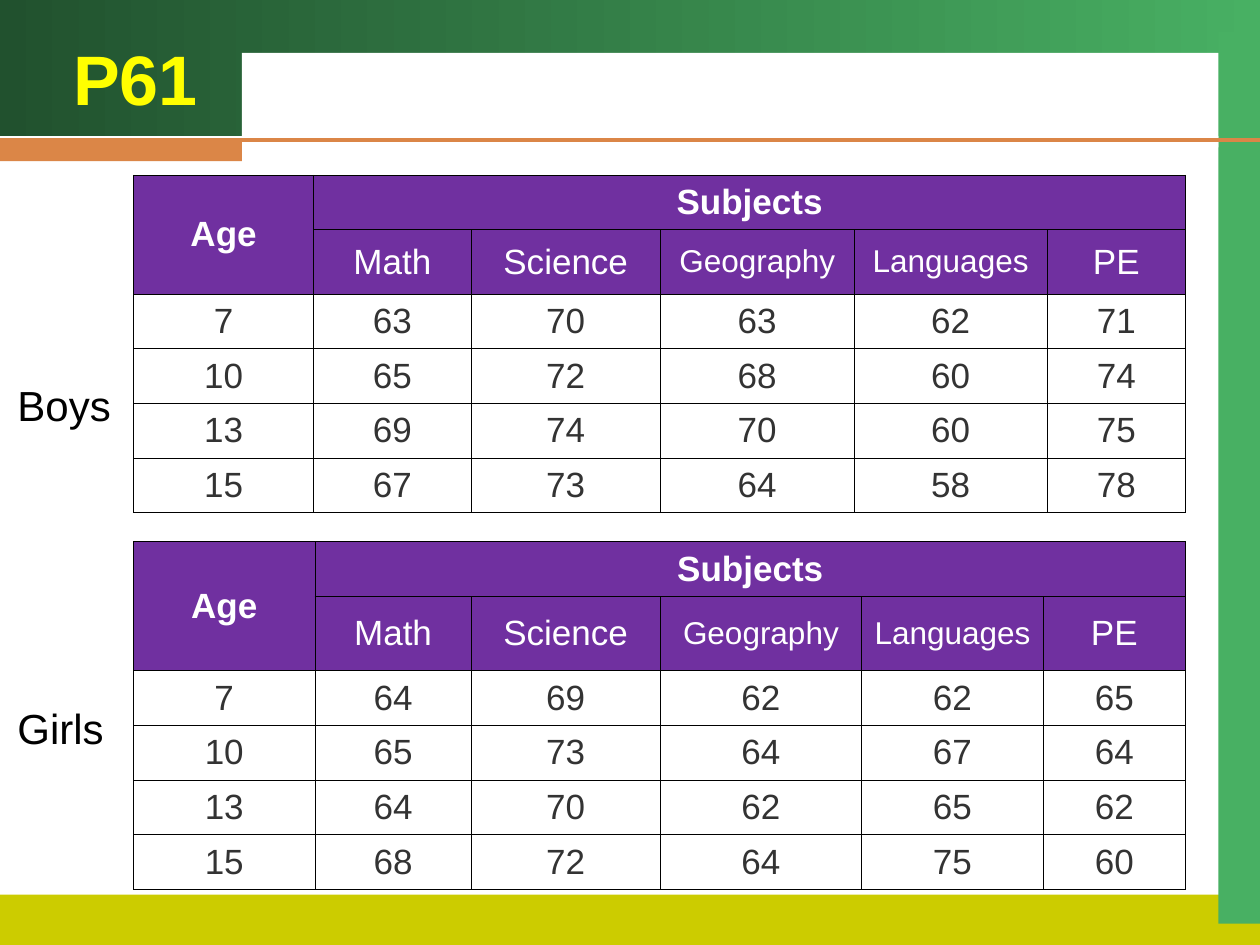
from dataclasses import dataclass

from lxml.etree import SubElement
from pptx import Presentation
from pptx.dml.color import RGBColor
from pptx.enum.shapes import MSO_CONNECTOR as Connector, MSO_SHAPE as Shape
from pptx.enum.text import MSO_ANCHOR as Anchor, MSO_AUTO_SIZE as AutoSize, PP_ALIGN as Align
from pptx.oxml.ns import qn
from pptx.slide import Slide
from pptx.text.text import TextFrame
from pptx.util import Inches, Pt

FONT = "Arial"
BLACK = RGBColor(0x00, 0x00, 0x00)
WHITE = RGBColor(0xFF, 0xFF, 0xFF)
YELLOW = RGBColor(0xFF, 0xFF, 0x00)
DARK_GREEN = RGBColor(0x21, 0x51, 0x2E)
GREEN = RGBColor(0x48, 0xB0, 0x63)
OLIVE = RGBColor(0xCC, 0xCC, 0x00)
ORANGE = RGBColor(0xDB, 0x86, 0x47)
PURPLE = RGBColor(0x70, 0x30, 0xA0)
GREY = RGBColor(0x33, 0x33, 0x33)

SUBJECTS = ["Math", "Science", "Geography", "Languages", "PE"]
SMALL_SUBJECTS = {"Geography", "Languages"}
TABLE_LEFT = 1.06
ROW_HEIGHT = 0.43
LABEL_LEFT = 0.04
LABEL_WIDTH = 1.0


@dataclass
class Band:
    left: float
    top: float
    width: float
    height: float
    color: RGBColor
    start: RGBColor | None = None


@dataclass
class ScoreTable:
    label: str
    label_top: float
    top: float
    subject_height: float
    widths: list[float]
    scores: list[list[int]]


BANDS = [
    Band(0, 0, 10, 1.08, GREEN, start=DARK_GREEN),
    Band(0, 7.1, 10, 0.4, OLIVE),
    Band(9.67, 0.25, 0.33, 7.08, GREEN),
    Band(1.92, 0.42, 7.75, 0.75, WHITE),
    Band(0, 1.11, 1.92, 0.17, ORANGE),
]

TABLES = [
    ScoreTable("Boys", 2.96, 1.39, 0.51, [1.43, 1.25, 1.5, 1.54, 1.53, 1.1], [
        [7, 63, 70, 63, 62, 71],
        [10, 65, 72, 68, 60, 74],
        [13, 69, 74, 70, 60, 75],
        [15, 67, 73, 64, 58, 78],
    ]),
    ScoreTable("Girls", 5.53, 4.3, 0.59, [1.44, 1.24, 1.5, 1.6, 1.44, 1.13], [
        [7, 64, 69, 62, 62, 65],
        [10, 65, 73, 64, 67, 64],
        [13, 64, 70, 62, 65, 62],
        [15, 68, 72, 64, 75, 60],
    ]),
]


def write(frame: TextFrame, text: str, *, size: int, color: RGBColor,
          bold: bool = False, align: Align = Align.LEFT) -> None:
    para = frame.paragraphs[0]
    para.alignment = align
    span = para.add_run()
    span.text = text
    span.font.name = FONT
    span.font.size = Pt(size)
    span.font.bold = bold
    span.font.color.rgb = color


def draw_band(page: Slide, band: Band) -> None:
    box = page.shapes.add_shape(Shape.RECTANGLE, Inches(band.left), Inches(band.top),
                                Inches(band.width), Inches(band.height))
    box.shadow.inherit = False
    box.line.fill.background()
    if band.start is None:
        box.fill.solid()
        box.fill.fore_color.rgb = band.color
    else:
        box.fill.gradient()
        box.fill.gradient_angle = 0
        for stop, color in zip(box.fill.gradient_stops, (band.start, band.color)):
            stop.color.rgb = color


def draw_rule(page: Slide, top: float) -> None:
    rule = page.shapes.add_connector(Connector.STRAIGHT, 0, Inches(top), Inches(10), Inches(top))
    rule.line.color.rgb = ORANGE
    rule.line.width = Pt(2.25)
    SubElement(rule.element.spPr, qn("a:effectLst"))


def draw_title(page: Slide, text: str) -> None:
    title = page.shapes.title
    title.left, title.top = Inches(0.48), Inches(0.23)
    title.width, title.height = Inches(1.19), Inches(0.77)
    title.element.getparent().append(title.element)
    frame = title.text_frame
    frame.word_wrap = False
    frame.auto_size = AutoSize.SHAPE_TO_FIT_TEXT
    frame.vertical_anchor = Anchor.TOP
    write(frame, text, size=40, color=YELLOW, bold=True)


def add_borders(cell) -> None:
    properties = cell._tc.get_or_add_tcPr()
    for side in ("lnL", "lnR", "lnT", "lnB"):
        line = SubElement(properties, qn(f"a:{side}"), w=str(Pt(0.45)))
        fill = SubElement(line, qn("a:solidFill"))
        SubElement(fill, qn("a:srgbClr"), val=str(BLACK))


def draw_scores(page: Slide, scores: ScoreTable) -> None:
    rows = [["Age", "Subjects"], [None, *SUBJECTS], *scores.scores]
    heights = [ROW_HEIGHT, scores.subject_height] + [ROW_HEIGHT] * len(scores.scores)
    table = page.shapes.add_table(
        len(rows), len(scores.widths), Inches(TABLE_LEFT), Inches(scores.top),
        Inches(sum(scores.widths)), Inches(sum(heights))).table
    table.first_row = table.horz_banding = False
    for column, width in zip(table.columns, scores.widths):
        column.width = Inches(width)
    for row, height in zip(table.rows, heights):
        row.height = Inches(height)
    for cell in table.iter_cells():
        add_borders(cell)
        cell.fill.background()
        cell.vertical_anchor = Anchor.MIDDLE
        cell.margin_left = cell.margin_right = Inches(0.05)
    for row_index in range(2):
        for cell in table.rows[row_index].cells:
            cell.fill.solid()
            cell.fill.fore_color.rgb = PURPLE
    table.cell(0, 0).merge(table.cell(1, 0))
    table.cell(0, 1).merge(table.cell(0, len(SUBJECTS)))
    for row_index, values in enumerate(rows):
        for column_index, value in enumerate(values):
            if value is not None:
                write(table.cell(row_index, column_index).text_frame, str(value),
                      size=18 if value in SMALL_SUBJECTS else 20,
                      color=WHITE if row_index < 2 else GREY,
                      bold=row_index == 0, align=Align.CENTER)


def draw_label(page: Slide, scores: ScoreTable) -> None:
    box = page.shapes.add_textbox(Inches(LABEL_LEFT), Inches(scores.label_top),
                                  Inches(LABEL_WIDTH), Inches(0.5))
    box.text_frame.word_wrap = True
    write(box.text_frame, scores.label, size=24, color=BLACK)


def main() -> None:
    deck = Presentation()
    deck.slide_width, deck.slide_height = Inches(10), Inches(7.5)
    page = deck.slides.add_slide(deck.slide_layouts[5])
    for band in BANDS:
        draw_band(page, band)
    draw_rule(page, 1.11)
    draw_title(page, "P61")
    for scores in TABLES:
        draw_scores(page, scores)
        draw_label(page, scores)
    deck.save("out.pptx")


if __name__ == "__main__":
    main()
